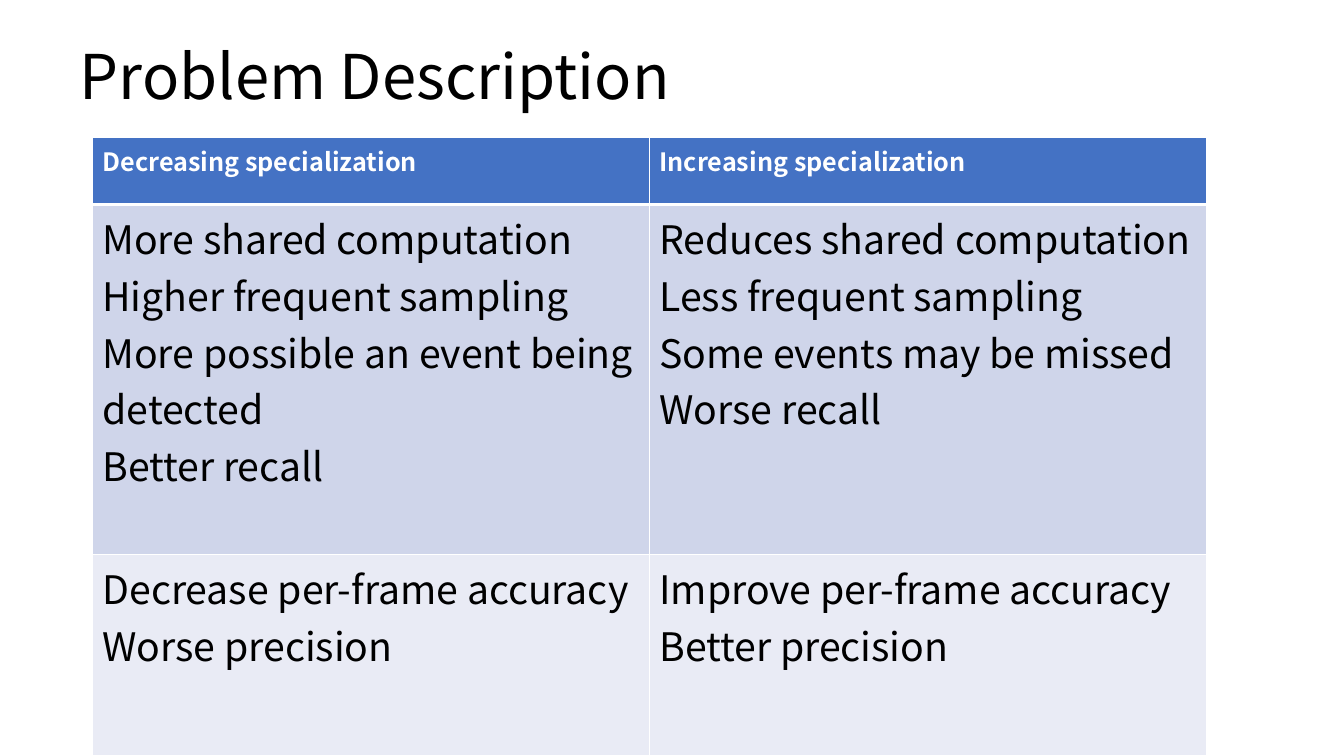
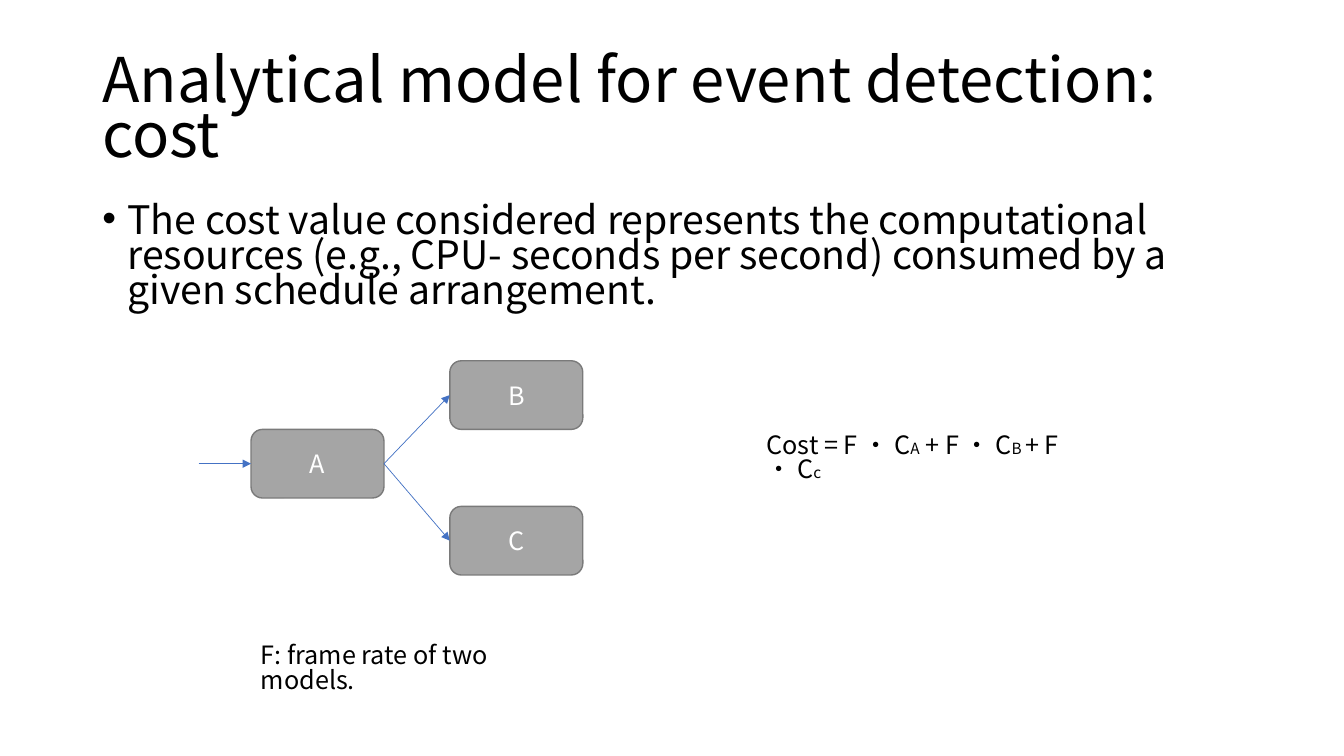
from lxml.etree import SubElement
from pptx import Presentation
from pptx.dml.color import RGBColor
from pptx.enum.shapes import MSO_CONNECTOR as Line, MSO_SHAPE as Shape
from pptx.enum.text import MSO_ANCHOR as Anchor, PP_ALIGN as Align
from pptx.oxml.ns import qn
from pptx.util import Pt

COLORS = {
    "text": "000000",
    "white": "FFFFFF",
    "accent": "4472C4",
    "row_dark": "CFD5EA",
    "row_light": "E9EBF5",
    "node": "A5A5A5",
    "node_edge": "7A7A7A",
}
FONT = "Noto Sans CJK SC"
TITLE_SIZE, BODY_SIZE, LABEL_SIZE, SUFFIX_SIZE = 44, 28, 18, 11
TIGHT, SNUG = 0.74, 0.82


def color(key):
    return RGBColor.from_string(COLORS[key])


def add_run(paragraph, text, size, ink="text", bold=False):
    run = paragraph.add_run()
    run.text = text
    font = run.font
    font.name, font.size, font.bold = FONT, Pt(size), bold
    font.color.rgb = color(ink)
    SubElement(font._element, qn("a:ea"), typeface=FONT)


def add_text(slide, box, runs, spacing, anchor=Anchor.TOP):
    frame = slide.shapes.add_textbox(*map(Pt, box)).text_frame
    frame.word_wrap = True
    frame.vertical_anchor = anchor
    paragraph = frame.paragraphs[0]
    paragraph.line_spacing = spacing
    for text, size in runs:
        add_run(paragraph, text, size)
    return paragraph


def add_title(slide, left, top, text):
    add_text(slide, (left, top, 828, 104.4), [(text, TITLE_SIZE)], TIGHT, Anchor.MIDDLE)


def add_bullet(slide, box, text):
    paragraph = add_text(slide, box, [(text, BODY_SIZE)], TIGHT)
    properties = paragraph._p.get_or_add_pPr()
    properties.set("marL", str(Pt(18)))
    properties.set("indent", str(-Pt(18)))
    SubElement(properties, qn("a:buFont"), typeface="Arial")
    SubElement(properties, qn("a:buChar"), char="•")


def add_borders(cell, bottom):
    properties = cell._tc.get_or_add_tcPr()
    for place, (side, width) in enumerate(
        [("lnL", 1), ("lnR", 1), ("lnT", 1), ("lnB", bottom)]
    ):
        border = SubElement(properties, qn(f"a:{side}"), w=str(Pt(width)))
        fill = SubElement(border, qn("a:solidFill"))
        SubElement(fill, qn("a:srgbClr"), val=COLORS["white"])
        properties.insert(place, border)


def fill_cell(cell, lines, fill, is_header):
    cell.fill.solid()
    cell.fill.fore_color.rgb = color(fill)
    add_borders(cell, 3 if is_header else 1)
    frame = cell.text_frame
    for number, line in enumerate(lines):
        paragraph = frame.add_paragraph() if number else frame.paragraphs[0]
        if is_header:
            add_run(paragraph, line, LABEL_SIZE, "white", True)
        else:
            add_run(paragraph, line, BODY_SIZE)


def add_comparison(slide, left, top, width, heights, rows):
    box = map(Pt, (left, top, width, sum(heights)))
    table = slide.shapes.add_table(len(rows), len(rows[0]), *box).table
    fills = ("accent", "row_dark", "row_light")
    for row, (height, fill, entries) in enumerate(zip(heights, fills, rows)):
        table.rows[row].height = Pt(height)
        for column, lines in enumerate(entries):
            fill_cell(table.cell(row, column), lines, fill, row == 0)


def add_node(slide, left, top, width, height, label):
    node = slide.shapes.add_shape(
        Shape.ROUNDED_RECTANGLE, *map(Pt, (left, top, width, height))
    )
    node.shadow.inherit = False
    node.fill.solid()
    node.fill.fore_color.rgb = color("node")
    node.line.color.rgb = color("node_edge")
    node.line.width = Pt(1)
    node.text_frame.vertical_anchor = Anchor.MIDDLE
    paragraph = node.text_frame.paragraphs[0]
    paragraph.alignment = Align.CENTER
    add_run(paragraph, label, LABEL_SIZE, "white")
    return node


def add_arrow(slide, target, source=None, lead=0):
    end_y = target.top + target.height // 2
    arrow = slide.shapes.add_connector(
        Line.STRAIGHT, target.left - Pt(lead), end_y, target.left, end_y
    )
    if source is not None:
        arrow.begin_connect(source, 3)
    arrow.end_connect(target, 1)
    arrow.line.color.rgb = color("accent")
    arrow.line.width = Pt(0.5)
    SubElement(arrow.line._get_or_add_ln(), qn("a:tailEnd"), type="triangle")
    SubElement(arrow._element.spPr, qn("a:effectLst"))


def add_model_tree(slide, left, top):
    width, height, pitch = 95, 49, 142
    root = add_node(slide, left, top, width, height, "A")
    add_arrow(slide, root, lead=37.5)
    for label, offset in (("B", -49), ("C", 55)):
        leaf = add_node(slide, left + pitch, top + offset, width, height, label)
        add_arrow(slide, leaf, root)


def build_problem(slide):
    add_title(slide, 50, 7, "Problem Description")
    rows = [
        [["Decreasing specialization"], ["Increasing specialization"]],
        [
            [
                "More shared computation",
                "Higher frequent sampling",
                "More possible an event being detected",
                "Better recall",
            ],
            [
                "Reduces shared computation",
                "Less frequent sampling",
                "Some events may be missed",
                "Worse recall",
            ],
        ],
        [
            ["Decrease per-frame accuracy", "Worse precision"],
            ["Improve per-frame accuracy", "Better precision"],
        ],
    ]
    add_comparison(slide, 66, 98, 795.6, (48, 250, 144), rows)


def build_cost(slide):
    add_title(slide, 66, 29, "Analytical model for event detection: cost")
    add_bullet(
        slide,
        (66, 144, 828, 342.7),
        "The cost value considered represents the computational resources "
        "(e.g., CPU- seconds per second) consumed by a given schedule arrangement.",
    )
    add_model_tree(slide, 179.3, 306.7)
    formula = [
        ("Cost = F · C", LABEL_SIZE),
        ("A", SUFFIX_SIZE),
        (" + F · C", LABEL_SIZE),
        ("B ", SUFFIX_SIZE),
        ("+ F · C", LABEL_SIZE),
        ("c", SUFFIX_SIZE),
    ]
    add_text(slide, (540.5, 306.7, 234.7, 50), formula, SNUG)
    caption = [("F: frame rate of two models.", LABEL_SIZE)]
    add_text(slide, (179.3, 457.2, 180, 50), caption, SNUG)


def main():
    deck = Presentation()
    deck.slide_width, deck.slide_height = Pt(960), Pt(540)
    for build in (build_problem, build_cost):
        build(deck.slides.add_slide(deck.slide_layouts[6]))
    deck.save("out.pptx")


if __name__ == "__main__":
    main()
